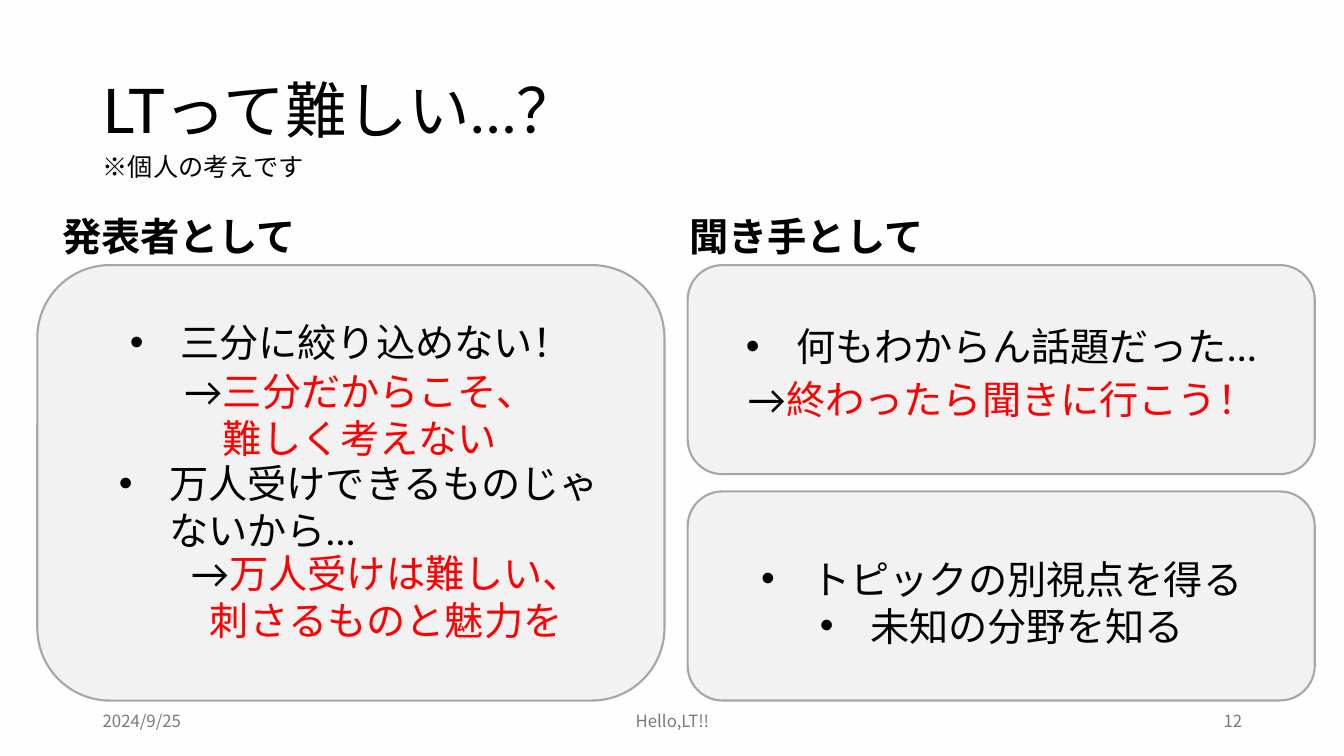
from dataclasses import dataclass

from lxml.etree import SubElement
from pptx import Presentation
from pptx.dml.color import RGBColor
from pptx.enum.shapes import MSO_SHAPE
from pptx.enum.text import MSO_ANCHOR, PP_ALIGN
from pptx.oxml.ns import qn
from pptx.util import Inches, Pt


@dataclass(frozen=True)
class Theme:
    """Colours, fonts and type sizes of the slide."""
    back: str = "FEFEFE"
    ink: str = "000000"
    red: str = "FF0000"
    card: str = "F2F2F2"
    edge: str = "A6A6A6"
    gray: str = "797979"
    main: str = "Lato"
    foot: str = "Noto Sans CJK JP"
    title: int = 44
    body: int = 28
    note: int = 18
    small: int = 12


THEME = Theme()
LINE = THEME.body * 1.2 / 72
MID = {"alignment": PP_ALIGN.CENTER}
SOLO = {"vertical_anchor": MSO_ANCHOR.MIDDLE}


def apply(item, form):
    """Set each format value on the item."""
    for name, value in form.items():
        setattr(item, name, value)


def indent(para, left, first, mark=None):
    """Set the indents of a paragraph and its bullet."""
    props = para._p.get_or_add_pPr()
    props.set("marL", str(Inches(left)))
    props.set("indent", str(Inches(first)))
    if mark:
        SubElement(props, qn("a:buFont")).set("typeface", "Arial")
        SubElement(props, qn("a:buChar")).set("char", mark)


def write(para, text, size=THEME.body, color=THEME.ink, face=THEME.main, bold=False):
    """Add text to a paragraph, with a break between its lines."""
    for i, line in enumerate(text.split("\n")):
        if i:
            para.add_line_break()
        run = para.add_run()
        run.text = line
        apply(run.font, {"size": Pt(size), "name": face, "bold": bold})
        run.font.color.rgb = RGBColor.from_string(color)
        SubElement(run._r.get_or_add_rPr(), qn("a:ea")).set("typeface", face)


def label(slide, box, text="", form=None, frame=None, **font):
    """Place a text box and return its first paragraph."""
    body = slide.shapes.add_textbox(*map(Inches, box)).text_frame
    apply(body, {"word_wrap": True, **(frame or {})})
    para = body.paragraphs[0]
    apply(para, form or {})
    if text:
        write(para, text, **font)
    return para


def panel(slide, box, below=0):
    """Draw a card that keeps some lines free below its text."""
    card = slide.shapes.add_shape(MSO_SHAPE.ROUNDED_RECTANGLE, *map(Inches, box))
    card.shadow.inherit = False
    card.fill.solid()
    card.fill.fore_color.rgb = RGBColor.from_string(THEME.card)
    card.line.color.rgb = RGBColor.from_string(THEME.edge)
    card.line.width = Pt(1.5)
    room = Inches(0.05 + below * LINE)
    apply(card.text_frame, {"word_wrap": True, "margin_bottom": room, **SOLO})
    return card.text_frame


def point(para, text, left=0.5, **form):
    """Fill a bullet paragraph."""
    apply(para, {**MID, **form})
    indent(para, left, -0.5, "•")
    write(para, text)


def reply(slide, box, text, left=0):
    """Place an arrow with a red answer."""
    para = label(slide, box, form=MID)
    indent(para, left, 0)
    write(para, "→")
    write(para, text, color=THEME.red)


def header(slide, box):
    """Place the title and the note under it."""
    x, y, w, h = box
    label(slide, box, "LTって難しい…？", {"line_spacing": 0.9}, SOLO, size=THEME.title)
    label(slide, (x, y + 1.05, 5.91, 0.4), "※個人の考えです", size=THEME.note)


def speaker(slide, box):
    """Build the left column."""
    x, y, w, h = box
    label(slide, (x + 0.15, y, 2.56, 0.57), "発表者として", bold=True)
    body = panel(slide, (x, y + 0.57, w, h - 0.57), 2)
    point(body.paragraphs[0], "三分に絞り込めない！")
    point(body.add_paragraph(), "万人受けできるものじゃないから…", 1, level=1,
          alignment=PP_ALIGN.LEFT, space_before=Pt(2 * LINE * 72))
    reply(slide, (x + 0.85, y + 1.53, 4.2, 1.04), "三分だからこそ、\n難しく考えない", 0.5)
    reply(slide, (x + 0.39, y + 3.34, 5.64, 1.04), "万人受けは難しい、\n刺さるものと魅力を", 0.5)


def hearer(slide, box):
    """Build the right column."""
    x, y, w, h = box
    gap = 0.17
    tall = (h - 0.57 - gap) / 2
    low = y + 0.57 + tall + gap
    label(slide, (x - 0.08, y, 2.56, 0.57), "聞き手として", bold=True)
    body = panel(slide, (x, y + 0.57, w, tall), 1)
    point(body.paragraphs[0], "何もわからん話題だった…")
    reply(slide, (x + 0.16, y + 1.61, 5.91, 0.57), "終わったら聞きに行こう！")
    panel(slide, (x, low, w, tall))
    para = label(slide, (x + 0.33, low + 0.58, 5.57, 1.04))
    point(para, "トピックの別視点を得る")
    point(para._parent.add_paragraph(), "未知の分野を知る")


def footer(slide, box):
    """Place the date, the name and the page number."""
    x, y, w, h = box
    parts = (
        (0, 3, "2024/9/25", PP_ALIGN.LEFT),
        (3.5, 4.5, "Hello,LT!!", PP_ALIGN.CENTER),
        (w - 3, 3, "12", PP_ALIGN.RIGHT),
    )
    for left, wide, text, side in parts:
        label(slide, (x + left, y, wide, h), text, {"alignment": side}, SOLO,
              size=THEME.small, color=THEME.gray, face=THEME.foot)


def main():
    """Build the slide and save it."""
    deck = Presentation()
    apply(deck, {"slide_width": Inches(13.33), "slide_height": Inches(7.5)})
    slide = deck.slides.add_slide(deck.slide_layouts[6])
    slide.background.fill.solid()
    slide.background.fill.fore_color.rgb = RGBColor.from_string(THEME.back)
    header(slide, (0.92, 0.4, 11.5, 1.45))
    speaker(slide, (0.37, 2.06, 6.22, 4.89))
    hearer(slide, (6.82, 2.06, 6.22, 4.89))
    footer(slide, (0.92, 6.95, 11.5, 0.4))
    deck.save("out.pptx")


if __name__ == "__main__":
    main()
